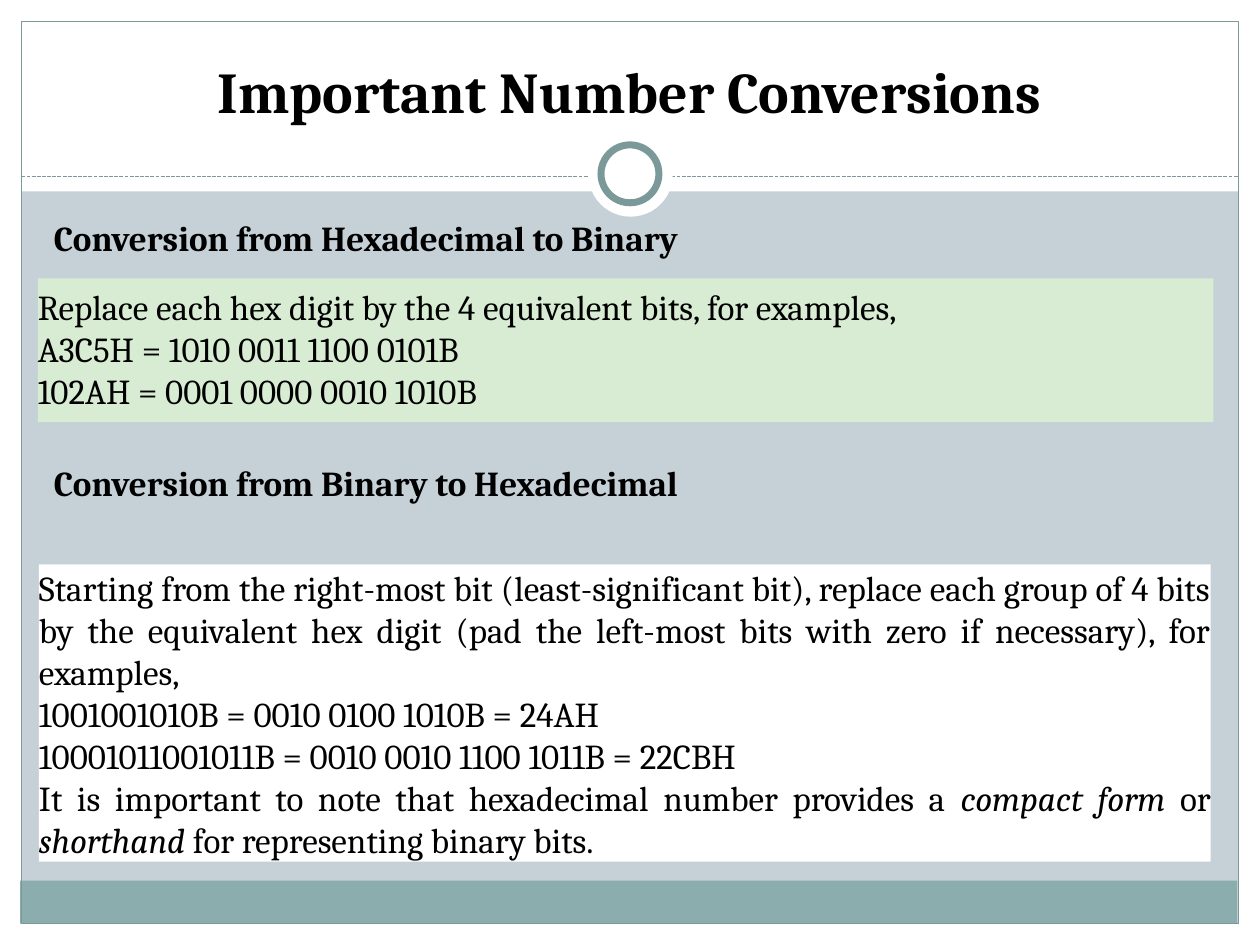
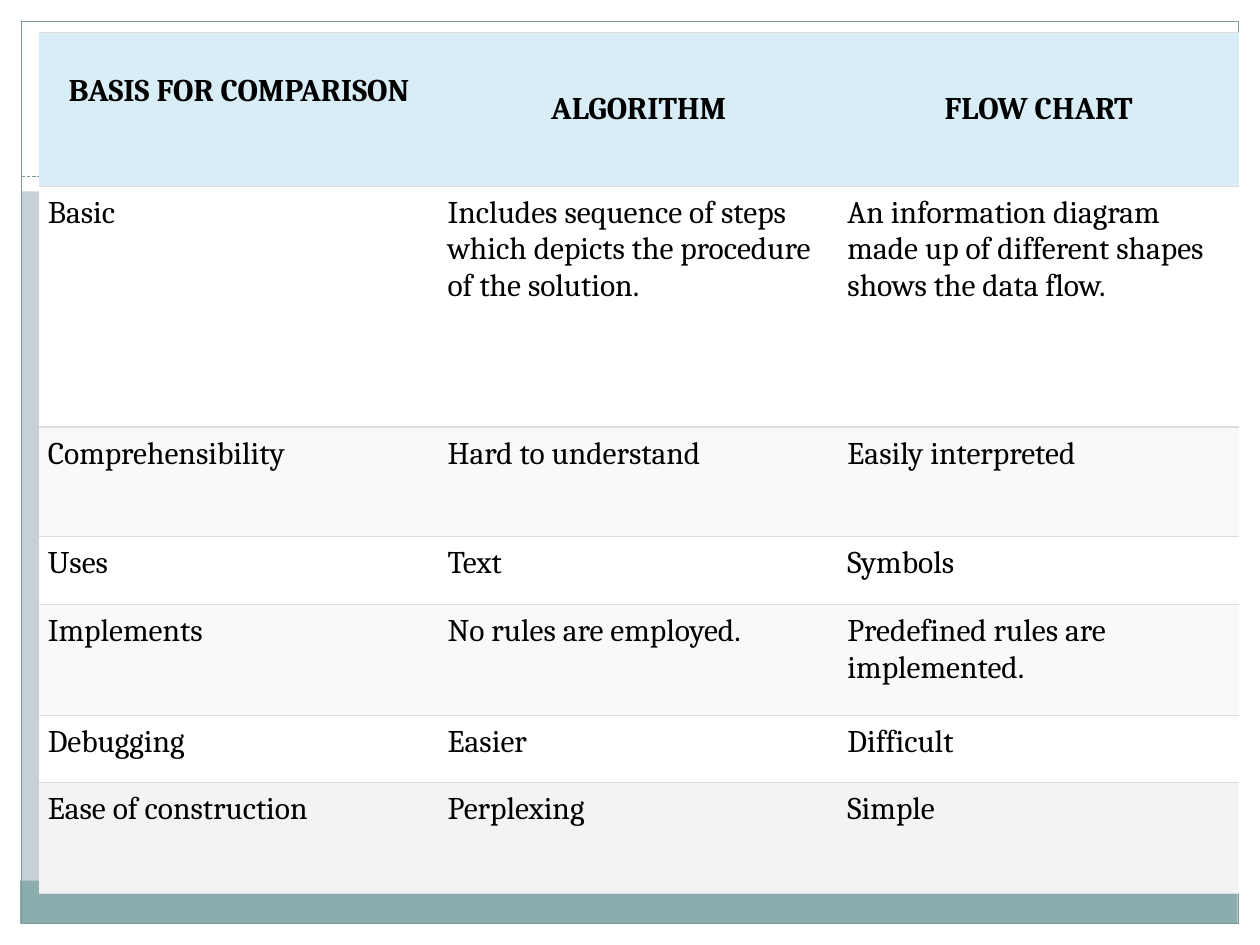
from pptx import Presentation
from pptx.dml.color import RGBColor as RGB
from pptx.enum.dml import MSO_LINE_DASH_STYLE as DASH
from pptx.enum.shapes import MSO_CONNECTOR as CONN, MSO_SHAPE as SHAPE
from pptx.enum.text import MSO_ANCHOR as ANCHOR, PP_ALIGN as ALIGN
from pptx.oxml.ns import qn
from pptx.util import Inches, Pt
from lxml.etree import SubElement

COLORS = {
    "background": "C5D1D7", "white": "FFFFFF", "band": "8CADAE", "accent": "7C999A",
    "text": "000000", "green": "D7ECD3", "header": "D9EDF7", "stripe": "F9F9F9",
    "last_row": "F3F3F3", "rule": "DDDDDD",
}
FONT = "Cambria"


def add_box(s, kind, box, fill=None, line=None, width=0.75):
    sp = s.shapes.add_shape(kind, *[Inches(v) for v in box])
    sp.shadow.inherit = False
    if fill:
        sp.fill.solid()
        sp.fill.fore_color.rgb = RGB.from_string(COLORS[fill])
    else:
        sp.fill.background()
    if line:
        sp.line.color.rgb = RGB.from_string(COLORS[line])
        sp.line.width = Pt(width)
    else:
        sp.line.fill.background()
    return sp


def format_text(tf, size, bold=False, align=ALIGN.LEFT):
    tf.word_wrap = True
    for p in tf.paragraphs:
        p.alignment = align
        for r in p.runs:
            r.font.name = FONT
            r.font.size = Pt(size)
            r.font.bold = bold
            r.font.color.rgb = RGB.from_string(COLORS["text"])


prs = Presentation()
prs.slide_width, prs.slide_height = Inches(10), Inches(7.5)
conversions = prs.slides.add_slide(prs.slide_layouts[5])
comparison = prs.slides.add_slide(prs.slide_layouts[6])

for s in (conversions, comparison):
    s.background.fill.solid()
    s.background.fill.fore_color.rgb = RGB.from_string(COLORS["background"])
    for margin in [(0, 7.33, 10, 0.17), (0, 0, 10, 1.52),
                   (0, 0, 0.17, 7.5), (9.83, 0, 0.17, 7.5)]:
        add_box(s, SHAPE.RECTANGLE, margin, "white")
    add_box(s, SHAPE.RECTANGLE, (0.16, 6.99, 9.66, 0.34), "band")
    add_box(s, SHAPE.RECTANGLE, (0.17, 0.17, 9.66, 7.16), line="accent")
    rule = s.shapes.add_connector(CONN.STRAIGHT, Inches(0.17), Inches(1.4),
                                  Inches(9.83), Inches(1.4))
    rule.line.color.rgb = RGB.from_string(COLORS["accent"])
    rule.line.width = Pt(0.75)
    rule.line.dash_style = DASH.SQUARE_DOT
    SubElement(rule.element.spPr, qn("a:effectLst"))
    add_box(s, SHAPE.OVAL, (4.67, 1.05, 0.67, 0.67), "white")
    add_box(s, SHAPE.OVAL, (4.77, 1.15, 0.46, 0.46), "white", "accent", 4)

title = conversions.shapes.title
title.left, title.top = Inches(0.33), Inches(0.21)
title.width, title.height = Inches(9.33), Inches(0.83)
title.text_frame.text = "Important Number Conversions"
title.text_frame.vertical_anchor = ANCHOR.BOTTOM
format_text(title.text_frame, 33, True, ALIGN.CENTER)
title.element.getparent().append(title.element)

headings = conversions.shapes.add_textbox(Inches(0.33), Inches(1.67), Inches(9.3), Inches(5))
tf = headings.text_frame
tf.text = "Conversion from Hexadecimal to Binary\nConversion from Binary to Hexadecimal"
format_text(tf, 20, True)
tf.paragraphs[1].space_before = Pt(116)

to_hex = [
    "Starting from the right-most bit (least-significant bit), replace each group of 4 bits "
    "by the equivalent hex digit (pad the left-most bits with zero if necessary), for examples,",
    "1001001010B = 0010 0100 1010B = 24AH",
    "10001011001011B = 0010 0010 1100 1011B = 22CBH",
    "It is important to note that hexadecimal number provides a ",
]
to_binary = [
    "Replace each hex digit by the 4 equivalent bits, for examples,",
    "A3C5H = 1010 0011 1100 0101B",
    "102AH = 0001 0000 0010 1010B",
]
panels = [
    ((0.31, 4.48, 9.3, 2.36), "white", 0, 0, to_hex),
    ((0.3, 2.21, 9.33, 1.14), "green", 0.05, 0.08, to_binary),
]
for box, fill, above, below, lines in panels:
    tf = add_box(conversions, SHAPE.RECTANGLE, box, fill).text_frame
    tf.margin_left = tf.margin_right = 0
    tf.margin_top, tf.margin_bottom = Inches(above), Inches(below)
    tf.vertical_anchor = ANCHOR.MIDDLE
    tf.text = "\n".join(lines)
    if lines is to_hex:
        for text, italic in [("compact form", True), (" or ", False), ("shorthand", True),
                             (" for representing binary bits.", False)]:
            r = tf.paragraphs[-1].add_run()
            r.text = text
            r.font.italic = italic
    format_text(tf, 20, align=ALIGN.JUSTIFY)

rows = [
    ("BASIS FOR COMPARISON", "ALGORITHM", "FLOW CHART"),
    ("Basic", "Includes sequence of steps which depicts the procedure of the solution.",
     "An information diagram made up of different shapes shows the data flow."),
    ("Comprehensibility", "Hard to understand", "Easily interpreted"),
    ("Uses", "Text", "Symbols"),
    ("Implements", "No rules are employed.", "Predefined rules are implemented."),
    ("Debugging", "Easier", "Difficult"),
    ("Ease of construction", "Perplexing", "Simple"),
]
heights = [1.22, 1.91, 0.87, 0.54, 0.88, 0.53, 0.88]
fills = ["header", "white", "stripe", "white", "stripe", "white", "last_row"]
table = comparison.shapes.add_table(len(rows), 3, Inches(0.31), Inches(0.26),
                                    Inches(9.52), Inches(sum(heights))).table
table.first_row = table.horz_banding = False
for i, row in enumerate(rows):
    table.rows[i].height = Inches(heights[i])
    for j, text in enumerate(row):
        cell = table.cell(i, j)
        cell.text = text
        cell.margin_left = cell.margin_right = Inches(0.07)
        cell.margin_top = cell.margin_bottom = Inches(0.07)
        cell.vertical_anchor = ANCHOR.TOP if i else ANCHOR.MIDDLE
        format_text(cell.text_frame, 18, i == 0, ALIGN.LEFT if i else ALIGN.CENTER)
        tc_pr = cell._tc.get_or_add_tcPr()
        for side in ("L", "R", "T", "B"):
            ln = SubElement(tc_pr, qn(f"a:ln{side}"), w=str(Pt(0.75)))
            if side in "LR":
                SubElement(ln, qn("a:noFill"))
            else:
                solid = SubElement(ln, qn("a:solidFill"))
                SubElement(solid, qn("a:srgbClr"), val=COLORS["rule"])
        cell.fill.solid()
        cell.fill.fore_color.rgb = RGB.from_string(COLORS[fills[i]])
table.cell(0, 0).margin_bottom = Inches(0.36)

prs.save("out.pptx")
